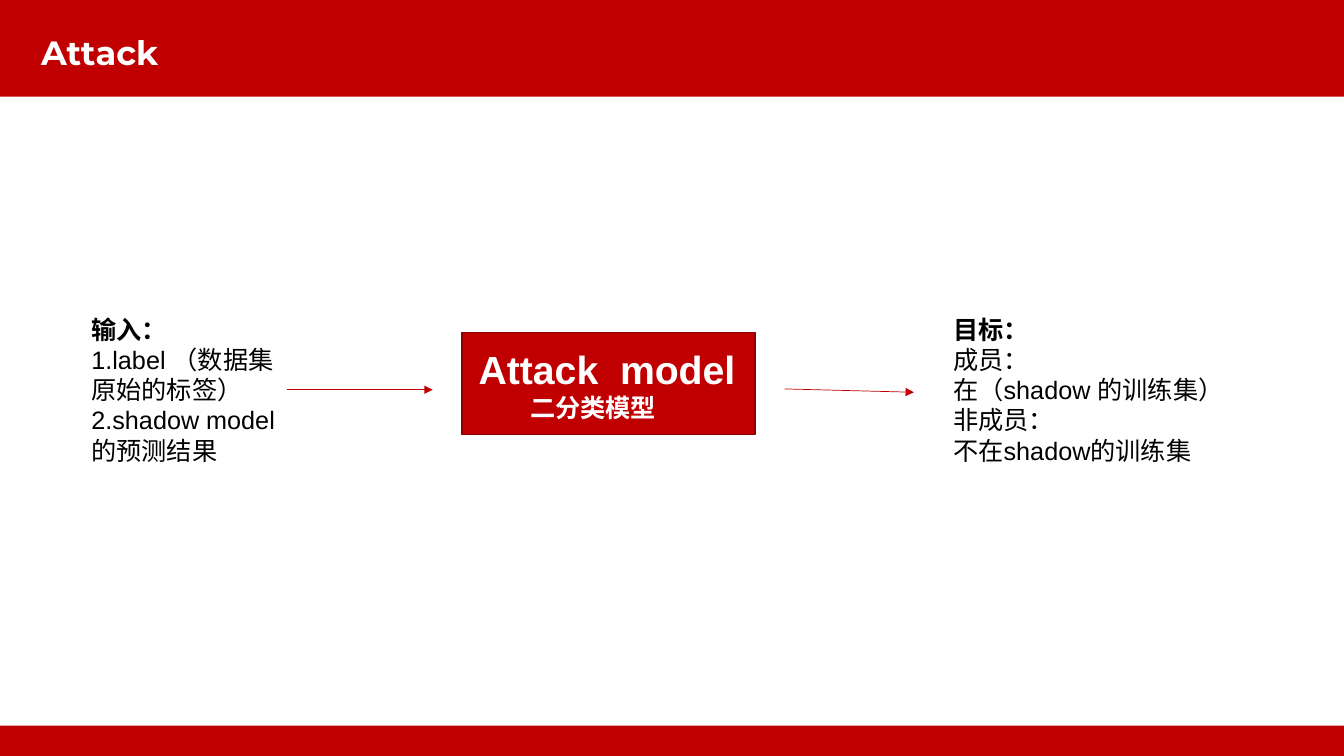
from lxml.etree import SubElement
from pptx import Presentation
from pptx.dml.color import RGBColor
from pptx.enum.shapes import MSO_CONNECTOR, MSO_SHAPE
from pptx.enum.text import MSO_ANCHOR, PP_ALIGN
from pptx.oxml.ns import qn
from pptx.util import Inches, Pt

RED = RGBColor(0xC0, 0x00, 0x00)
DARK_RED = RGBColor(0x8E, 0x00, 0x00)
WHITE = RGBColor(0xFF, 0xFF, 0xFF)
BLACK = RGBColor(0x00, 0x00, 0x00)
COLUMNS, ROWS = 160, 90
WIDTH, HEIGHT = Inches(13.33), Inches(7.5)


def grid(left, top, *size):
    """Turn column and row counts into lengths, alternating the two axes."""
    units = (WIDTH / COLUMNS, HEIGHT / ROWS)
    return [round(count * units[index % 2]) for index, count in enumerate((left, top, *size))]


def style(para, size, color, bold=False, font="Arial"):
    """Format every run of a paragraph."""
    for span in para.runs:
        span.font.name = font
        span.font.size = Pt(size)
        span.font.bold = bold
        span.font.color.rgb = color


def add_block(page, area, outline=None):
    """Add a red rectangle, outlined if a colour is given."""
    block = page.shapes.add_shape(MSO_SHAPE.RECTANGLE, *grid(*area))
    block.shadow.inherit = False
    block.fill.solid()
    block.fill.fore_color.rgb = RED
    if outline is None:
        block.line.fill.background()
    else:
        block.line.color.rgb = outline
        block.line.width = Pt(1)


def add_text(page, area, lines):
    """Add a wrapped text box and return its paragraphs."""
    box = page.shapes.add_textbox(*grid(*area))
    box.text_frame.word_wrap = True
    box.text_frame.text = "\n".join(lines)
    return box.text_frame.paragraphs


def add_list(page, area, lines):
    """Add a black text block whose first line is a bold heading."""
    for index, para in enumerate(add_text(page, area, lines)):
        style(para, 18, BLACK, bold=index == 0)


def add_arrow(page, start, end):
    """Add a thin red arrow between two grid points."""
    arrow = page.shapes.add_connector(MSO_CONNECTOR.STRAIGHT, *grid(*start, *end))
    arrow.line.color.rgb = RED
    arrow.line.width = Pt(0.5)
    SubElement(arrow.line._get_or_add_ln(), qn("a:tailEnd"), type="triangle")
    SubElement(arrow.element.spPr, qn("a:effectLst"))


def set_title(page, text):
    """Place the title placeholder over the header band."""
    title = page.shapes.title
    title.left, title.top, title.width, title.height = grid(3.7, 2.5, 138, 7.9)
    title.text_frame.text = text
    title.text_frame.vertical_anchor = MSO_ANCHOR.MIDDLE
    para = title.text_frame.paragraphs[0]
    para.alignment = PP_ALIGN.LEFT
    para.line_spacing = 0.9
    style(para, 24, WHITE, bold=True, font="Montserrat")
    title.element.getparent().append(title.element)


def add_model(page):
    """Add the central model block with its name and kind."""
    add_block(page, (55, 39.6, 34.9, 12.1), DARK_RED)
    name, kind = add_text(page, (55.8, 40.5, 37.5, 10.5), ["Attack  model", "二分类模型"])
    style(name, 28, WHITE, bold=True)
    style(kind, 18, WHITE, bold=True)
    kind._p.get_or_add_pPr().set("marL", str(Inches(0.51)))


def main():
    """Build the slide and save it."""
    deck = Presentation()
    deck.slide_width, deck.slide_height = WIDTH, HEIGHT
    page = deck.slides.add_slide(deck.slide_layouts[5])
    add_block(page, (0, 0, COLUMNS, 11.5))
    add_block(page, (0, 86.4, COLUMNS, 3.6))
    set_title(page, "Attack")
    add_model(page)
    add_list(page, (9.7, 36.8, 24.6, 19.4),
             ["输入：", "1.label （数据集 原始的标签）", "2.shadow model的预测结果"])
    add_arrow(page, (34.2, 46.4), (51.5, 46.4))
    add_arrow(page, (93.4, 46.3), (108.8, 46.7))
    add_list(page, (112.3, 36.8, 38, 23),
             ["目标：", "成员：", "在（shadow 的训练集）", "非成员：", "不在shadow的训练集"])
    deck.save("out.pptx")


if __name__ == "__main__":
    main()
